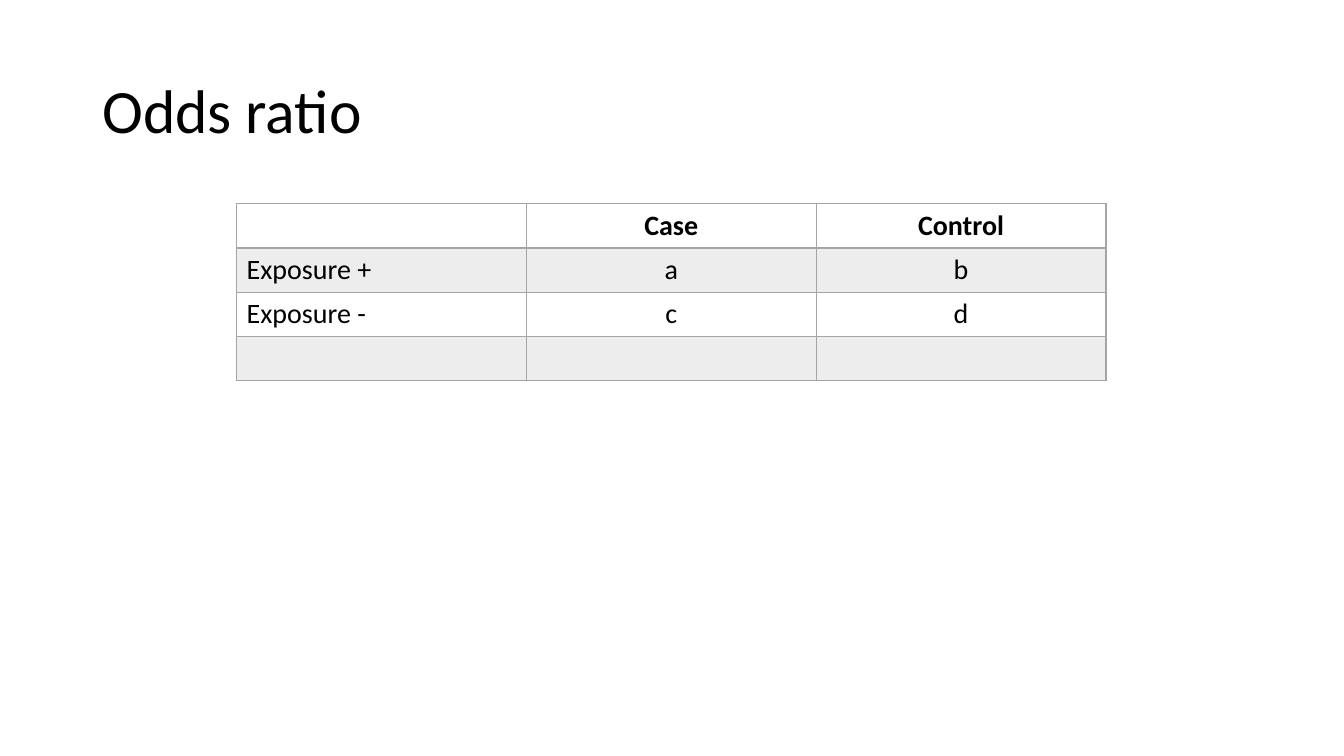
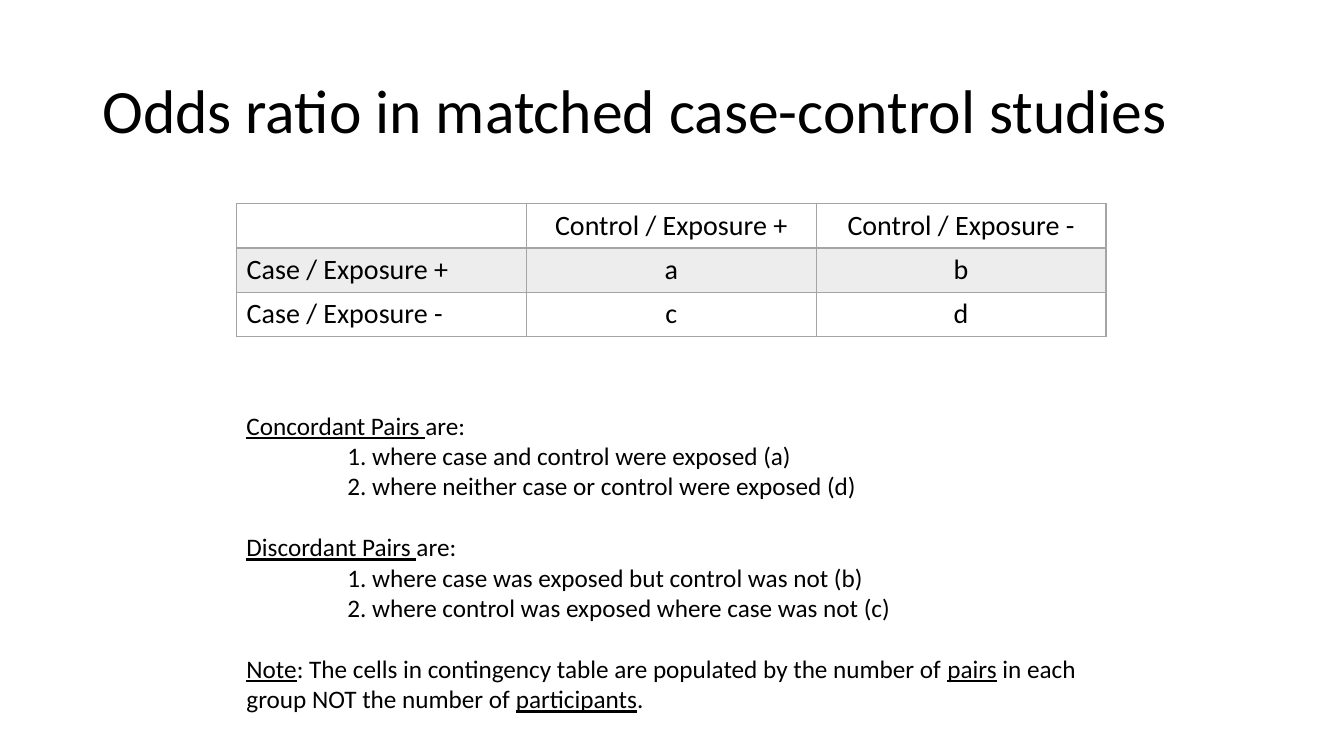
"""Build two slides on odds ratios in case-control studies."""
from lxml import etree
from pptx import Presentation
from pptx import util as u
from pptx.dml import color
from pptx.enum import text
from pptx.oxml import ns

SLIDE_SIZE = (960, 540)
TITLE_BOX = (66, 28.75, 828, 104.4)
CONTENT_LEFT, CONTENT_WIDTH = 169, 621
TABLE_TOP, ROW_HEIGHT = 145.5, 31.6
NOTES_TOP, NOTES_HEIGHT = 289.5, 225
ITEM_INDENT, GROUP_GAP = 72, 22
FONT, INK, GRID, BAND, PAPER = "Calibri", "000000", "A5A5A5", "EDEDED", "FFFFFF"

ODDS_TITLE = "Odds ratio"
ODDS_ROWS = [
    ("", "Case", "Control"),
    ("Exposure +", "a", "b"),
    ("Exposure -", "c", "d"),
    ("", "", ""),
]
MATCHED_TITLE = "Odds ratio in matched case-control studies"
MATCHED_ROWS = [
    ("", "Control / Exposure +", "Control / Exposure -"),
    ("Case / Exposure +", "a", "b"),
    ("Case / Exposure -", "c", "d"),
]
NOTE_GROUPS = [
    ([("Concordant Pairs ", True), ("are:", False)],
     ["1. where case and control were exposed (a)",
      "2. where neither case or control were exposed (d)"]),
    ([("Discordant Pairs ", True), ("are:", False)],
     ["1. where case was exposed but control was not (b)",
      "2. where control was exposed where case was not (c)"]),
    ([("Note", True),
      (": The cells in contingency table are populated by the number of ", False),
      ("pairs", True), (" in each group NOT the number of ", False),
      ("participants", True), (".", False)], []),
]


def rgb(value):
    return color.RGBColor.from_string(value)


def points(*values):
    return [u.Pt(value) for value in values]


def format_runs(paragraph, size, bold=False):
    for run in paragraph.runs:
        run.font.name, run.font.size, run.font.bold = FONT, u.Pt(size), bold
        run.font.color.rgb = rgb(INK)


def add_text_box(slide, box):
    frame = slide.shapes.add_textbox(*points(*box)).text_frame
    frame.word_wrap = True
    return frame


def add_title_slide(presentation, title):
    slide = presentation.slides.add_slide(presentation.slide_layouts[6])
    frame = add_text_box(slide, TITLE_BOX)
    frame.vertical_anchor = text.MSO_ANCHOR.MIDDLE
    frame.text = title
    paragraph = frame.paragraphs[0]
    paragraph.line_spacing = 0.9
    format_runs(paragraph, 44)
    return slide


def set_borders(cell, widths):
    properties = cell._tc.get_or_add_tcPr()
    for side, width in widths.items():
        line = etree.SubElement(properties, ns.qn("a:ln" + side), w=str(u.Pt(width)))
        fill = etree.SubElement(line, ns.qn("a:solidFill"))
        etree.SubElement(fill, ns.qn("a:srgbClr"), val=GRID)


def add_grid(slide, rows, bold_header):
    column_count = len(rows[0])
    table = slide.shapes.add_table(len(rows), column_count, *points(
        CONTENT_LEFT, TABLE_TOP, CONTENT_WIDTH, ROW_HEIGHT * len(rows))).table
    table.first_row = table.horz_banding = False
    for column in table.columns:
        column.width = u.Pt(CONTENT_WIDTH / column_count)
    for row_index, row in enumerate(rows):
        table.rows[row_index].height = u.Pt(ROW_HEIGHT)
        for column_index, label in enumerate(row):
            cell = table.cell(row_index, column_index)
            set_borders(cell, {"L": 1, "R": 1, "T": 2 if row_index == 1 else 1,
                               "B": 2 if row_index == 0 else 1})
            cell.fill.solid()
            cell.fill.fore_color.rgb = rgb(BAND if row_index % 2 else PAPER)
            cell.text_frame.text = label
            paragraph = cell.text_frame.paragraphs[0]
            if column_index:
                paragraph.alignment = text.PP_ALIGN.CENTER
            format_runs(paragraph, 20, bold_header and row_index == 0)


def add_notes(slide, groups):
    frame = add_text_box(slide, (CONTENT_LEFT, NOTES_TOP, CONTENT_WIDTH, NOTES_HEIGHT))
    for group_index, (heading, items) in enumerate(groups):
        paragraph = frame.add_paragraph() if group_index else frame.paragraphs[0]
        paragraph.space_before = u.Pt(GROUP_GAP if group_index else 0)
        for words, underlined in heading:
            run = paragraph.add_run()
            run.text, run.font.underline = words, underlined
        format_runs(paragraph, 18)
        for item in items:
            paragraph = frame.add_paragraph()
            paragraph.text = item
            paragraph._p.get_or_add_pPr().set("marL", str(u.Pt(ITEM_INDENT)))
            format_runs(paragraph, 18)


presentation = Presentation()
presentation.slide_width, presentation.slide_height = points(*SLIDE_SIZE)
odds_slide = add_title_slide(presentation, ODDS_TITLE)
add_grid(odds_slide, ODDS_ROWS, bold_header=True)
matched_slide = add_title_slide(presentation, MATCHED_TITLE)
add_grid(matched_slide, MATCHED_ROWS, bold_header=False)
add_notes(matched_slide, NOTE_GROUPS)
presentation.save("out.pptx")
